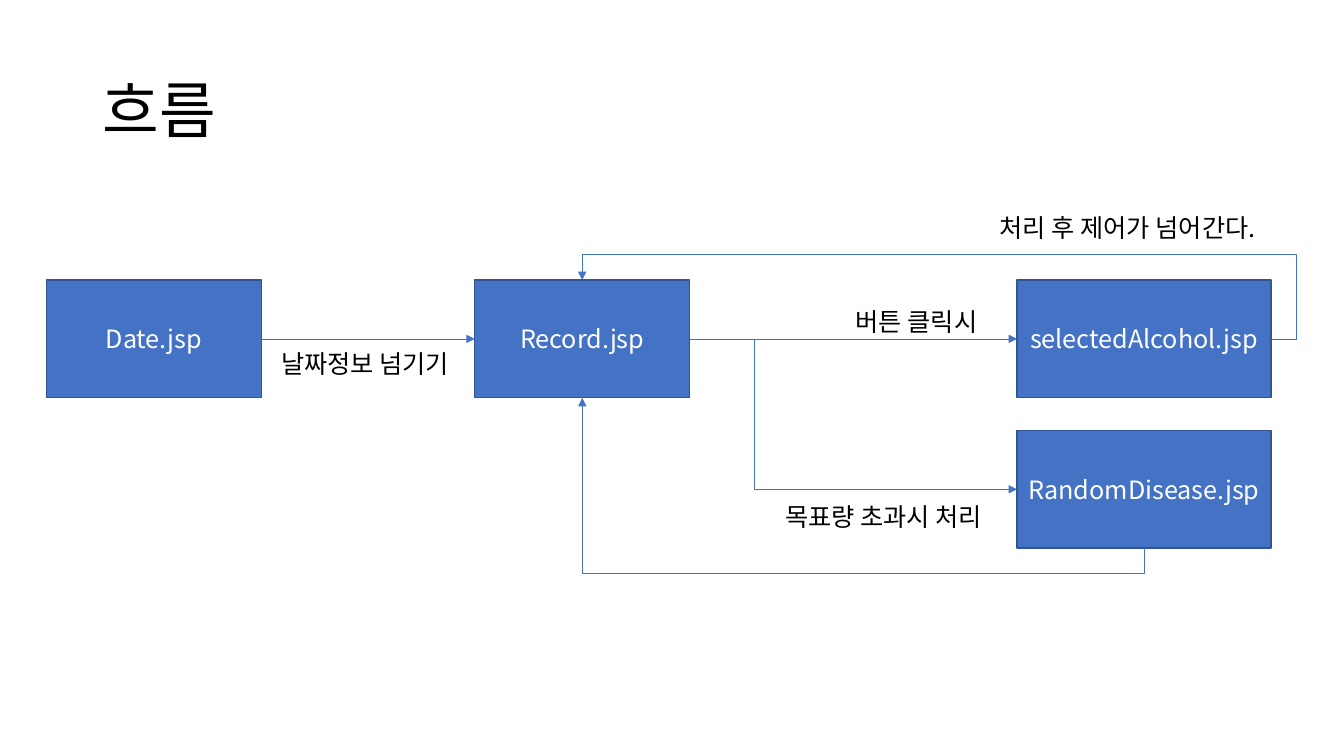
from lxml import etree
from pptx import Presentation
from pptx.dml.color import RGBColor
from pptx.enum import shapes, text
from pptx.oxml.ns import qn
from pptx.util import Pt

FONT = "Noto Sans CJK KR"
BLUE = RGBColor(0x44, 0x72, 0xC4)
EDGE = RGBColor(0x32, 0x54, 0x91)
WHITE = RGBColor(0xFF, 0xFF, 0xFF)
BLACK = RGBColor(0, 0, 0)

TITLE = "흐름"
BOX_H, ROW_1, ROW_2 = 84.2, 200, 307.4
STUB = 18    # how far a return arrow runs outside its box
BRANCH = 46.6   # distance from Record.jsp to the fork
TOP, LEFT, BOTTOM, RIGHT = range(4)

PAGES = {  # name: (left, top, width)
    "Date.jsp": (33.1, ROW_1, 153.6),
    "Record.jsp": (339.1, ROW_1, 153.6),
    "selectedAlcohol.jsp": (726.5, ROW_1, 181.4),
    "RandomDisease.jsp": (726.5, ROW_2, 181.4),
}
LABELS = [  # text, left, top, width
    ("버튼 클릭시", 604.1, 215.3, 111.6),
    ("목표량 초과시 처리", 553.7, 354.2, 172.8),
    ("처리 후 제어가 넘어간다.", 707, 148.3, 219.6),
    ("날짜정보 넘기기", 193.7, 245.5, 148.3),
]


def format_text(p, size, color):
    for r in p.runs:
        r.font.size, r.font.name = Pt(size), FONT
        r.font.color.rgb = color
        etree.SubElement(r._r.get_or_add_rPr(), qn("a:ea"), typeface=FONT)


def add_arrow(start, start_side, end, end_side, kind=shapes.MSO_CONNECTOR.STRAIGHT):
    c = s.shapes.add_connector(kind, 0, 0, 0, 0)
    c.begin_connect(boxes[start], start_side)
    c.end_connect(boxes[end], end_side)
    c.line.color.rgb, c.line.width = BLUE, Pt(0.5)
    etree.SubElement(c.line._get_or_add_ln(), qn("a:tailEnd"), type="triangle")
    etree.SubElement(c._element.spPr, qn("a:effectLst"))
    return c


def set_bends(c, preset, *ratios):
    geom = c._element.spPr.find(qn("a:prstGeom"))
    geom.set("prst", preset)
    guides = geom.find(qn("a:avLst"))
    if guides is None:
        guides = etree.SubElement(geom, qn("a:avLst"))
    for i, ratio in enumerate(ratios, 1):
        etree.SubElement(guides, qn("a:gd"), name=f"adj{i}", fmla=f"val {round(ratio * 100000)}")


prs = Presentation()
prs.slide_width, prs.slide_height = Pt(960), Pt(540)
s = prs.slides.add_slide(prs.slide_layouts[5])

# Title
title = s.shapes.title
title.left, title.top, title.width, title.height = Pt(66), Pt(28.8), Pt(828), Pt(104.4)
tf = title.text_frame
tf.text = TITLE
tf.vertical_anchor = text.MSO_ANCHOR.MIDDLE
p = tf.paragraphs[0]
p.alignment, p.line_spacing = text.PP_ALIGN.LEFT, 0.9
format_text(p, 44, BLACK)

# Page boxes
boxes = {}
for name, (x, y, w) in PAGES.items():
    sp = s.shapes.add_shape(shapes.MSO_SHAPE.RECTANGLE, Pt(x), Pt(y), Pt(w), Pt(BOX_H))
    sp.shadow.inherit = False
    sp.fill.solid()
    sp.fill.fore_color.rgb = BLUE
    sp.line.color.rgb, sp.line.width = EDGE, Pt(1)
    tf = sp.text_frame
    tf.text, tf.vertical_anchor = name, text.MSO_ANCHOR.MIDDLE
    p = tf.paragraphs[0]
    p.alignment = text.PP_ALIGN.CENTER
    format_text(p, 18, WHITE)
    boxes[name] = sp

# Straight arrows
add_arrow("Date.jsp", RIGHT, "Record.jsp", LEFT)
add_arrow("Record.jsp", RIGHT, "selectedAlcohol.jsp", LEFT)

# Fork to RandomDisease.jsp
ELBOW = shapes.MSO_CONNECTOR.ELBOW
fork = add_arrow("Record.jsp", RIGHT, "RandomDisease.jsp", LEFT, ELBOW)
set_bends(fork, "bentConnector3", Pt(BRANCH) / fork.width)

# Return over the top
over = add_arrow("selectedAlcohol.jsp", RIGHT, "Record.jsp", TOP, ELBOW)
set_bends(over, "bentConnector4", -Pt(STUB) / over.width, 1 + Pt(STUB) / over.height)

# Return underneath: a quarter turn about the centre, mirrored
under = add_arrow("RandomDisease.jsp", BOTTOM, "Record.jsp", BOTTOM, ELBOW)
x, y, w, h = under.left, under.top, under.width, under.height
under.left, under.top = x + (w - h) // 2, y + (h - w) // 2
under.width, under.height = h, w
xfrm = under._element.spPr.find(qn("a:xfrm"))
xfrm.set("rot", "5400000")
xfrm.set("flipH", "1")
xfrm.set("flipV", "0")
set_bends(under, "bentConnector3", -Pt(STUB) / h)

# Arrow labels
for label, x, y, w in LABELS:
    tf = s.shapes.add_textbox(Pt(x), Pt(y), Pt(w), Pt(29.1)).text_frame
    tf.text, tf.word_wrap = label, False
    tf.auto_size = text.MSO_AUTO_SIZE.SHAPE_TO_FIT_TEXT
    format_text(tf.paragraphs[0], 18, BLACK)

prs.save("out.pptx")
